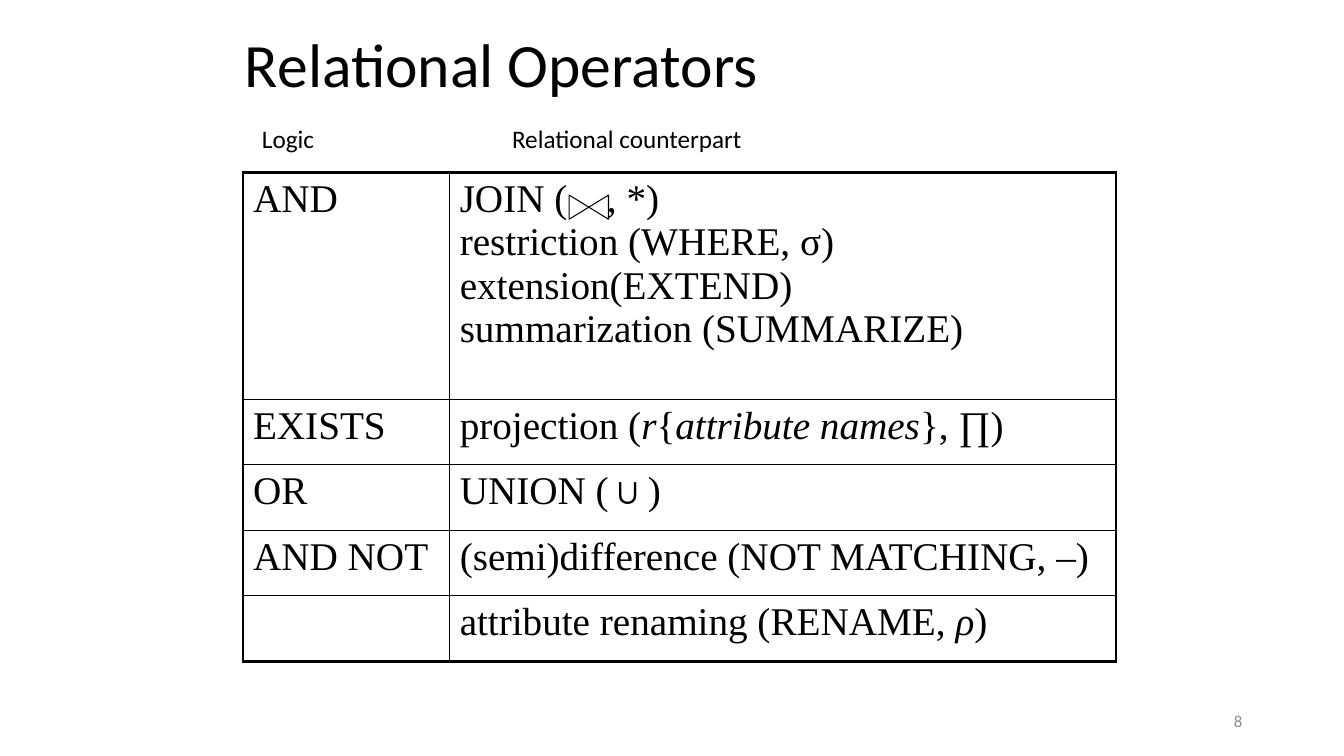
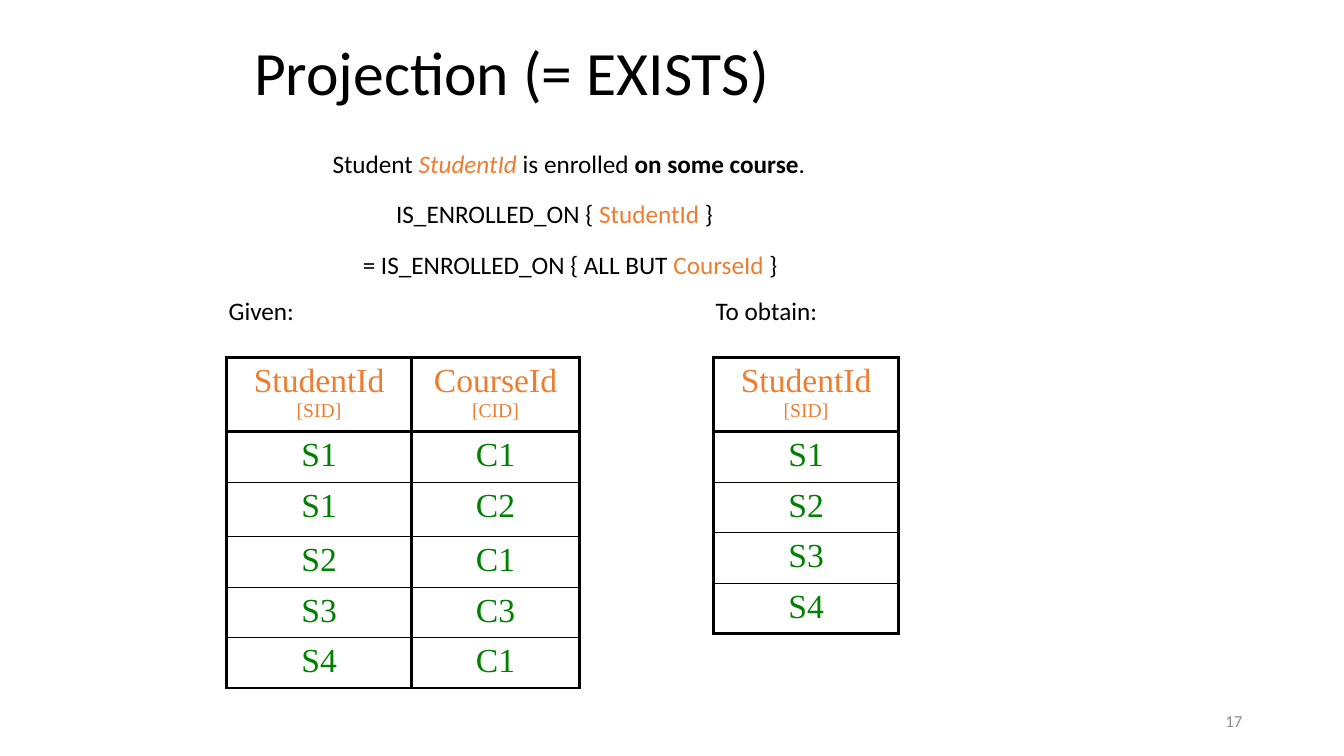
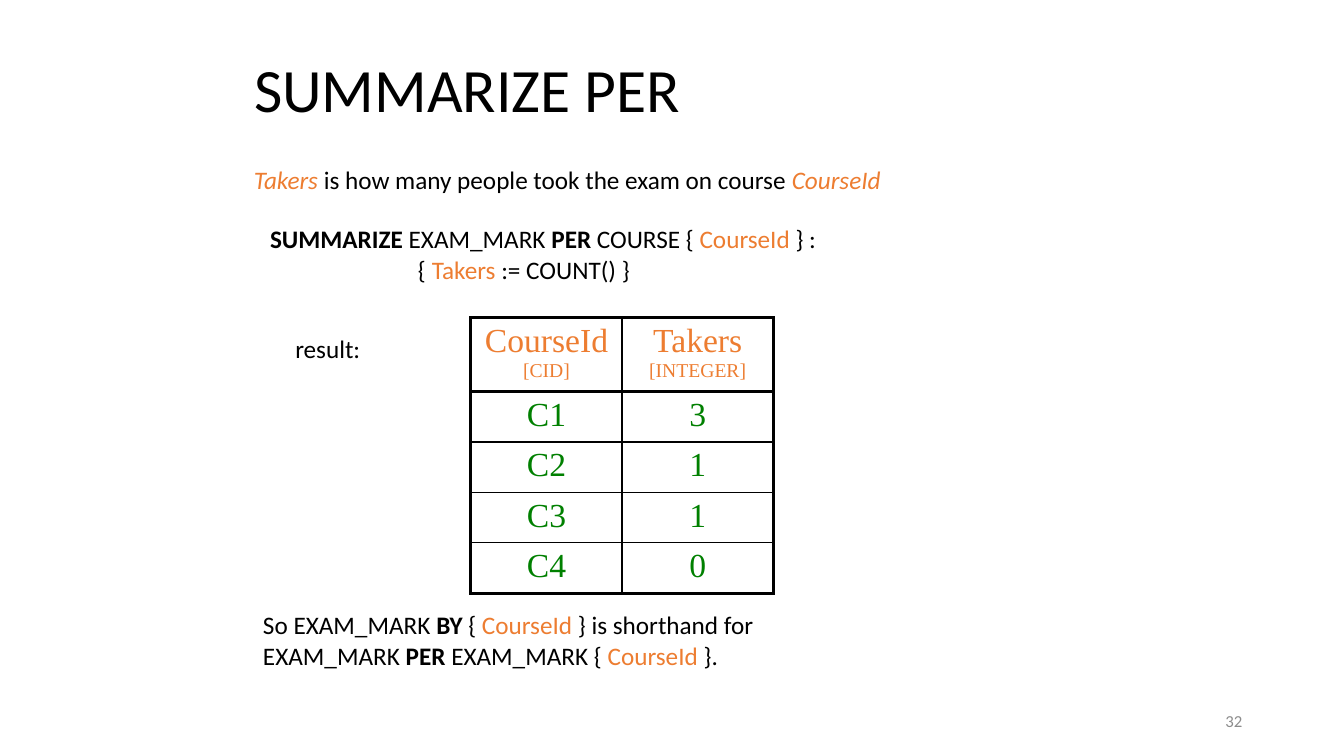
"""Build three slides on relational operators, projection and summarizing."""
from dataclasses import dataclass, field
from typing import Any, NamedTuple

from lxml import etree
from pptx import Presentation
from pptx.dml.color import RGBColor
from pptx.enum.shapes import MSO_SHAPE
from pptx.enum.text import MSO_ANCHOR, MSO_AUTO_SIZE, PP_ALIGN
from pptx.oxml.ns import qn
from pptx.util import Emu, Pt

EMU_PER_PX = 9144
COLLATE = MSO_SHAPE.FLOWCHART_COLLATE
MIDDLE = MSO_ANCHOR.MIDDLE
NO_FIT, GROW = MSO_AUTO_SIZE.NONE, MSO_AUTO_SIZE.SHAPE_TO_FIT_TEXT
LEFT, CENTER, RIGHT = PP_ALIGN.LEFT, PP_ALIGN.CENTER, PP_ALIGN.RIGHT
TITLE_ONLY = 5
THICK, THIN = Pt(2.25), Pt(1)
BREAK = "\n"

COLORS = {"text": "000000", "attribute": "ED7D31", "value": "008000", "page": "8C8C8C"}
TITLE = {"name": "Calibri", "size": Pt(44)}
BODY = {"name": "Calibri", "size": Pt(18)}
PAGE = {"name": "Calibri", "size": Pt(12)}
OPERATOR = {"name": "Times New Roman", "size": Pt(28)}
RELATION = {"name": "Times New Roman", "size": Pt(24)}
BOLD = {"bold": True}
ITALIC = {"italic": True}
TYPE_NAME = {"size": Pt(14)}


class Frame(NamedTuple):
    """Place and size in px, a hundred to the inch."""

    left: int
    top: int
    width: int
    height: int

    def emu(self) -> list[Emu]:
        """Return the four lengths in EMU."""
        return [px(length) for length in self]


@dataclass
class Span:
    """A stretch of text in one format."""

    text: str
    color: str = "text"
    style: dict[str, Any] = field(default_factory=dict)


@dataclass
class Label:
    """A text box with its spans."""

    frame: Frame
    spans: list[Span]
    wrap: bool = False


@dataclass
class Grid:
    """A table with its measures, cells and format."""

    left: int
    top: int
    columns: list[int]
    rows: list[int]
    cells: list[list[list[Span]]]
    style: dict[str, Any]
    align: PP_ALIGN = LEFT
    ruled: bool = False


def px(length: int) -> Emu:
    """Turn px into EMU."""
    return Emu(length * EMU_PER_PX)


def apply_format(target: Any, values: dict[str, Any]) -> None:
    """Set each named attribute on the target."""
    for name, value in values.items():
        setattr(target, name, value)


def attribute(text: str, **style: Any) -> Span:
    """Return a span in the colour of attribute names."""
    return Span(text, "attribute", style)


def write_spans(para: Any, spans: list[Span], style: dict[str, Any]) -> None:
    """Fill a paragraph with spans over a base style."""
    for span in spans:
        if span.text == BREAK:
            para.add_line_break()
            continue
        run = para.add_run()
        run.text = span.text
        apply_format(run.font, style | span.style)
        run.font.color.rgb = RGBColor.from_string(COLORS[span.color])


def add_label(page: Any, label: Label) -> None:
    """Add a body text box."""
    text = page.shapes.add_textbox(*label.frame.emu()).text_frame
    apply_format(text, {"word_wrap": label.wrap, "auto_size": GROW})
    write_spans(text.paragraphs[0], label.spans, BODY)


def add_page(deck: Any, title: str, frame: Frame, number: int) -> Any:
    """Add a slide with its title and page number."""
    page = deck.slides.add_slide(deck.slide_layouts[TITLE_ONLY])
    heading = page.shapes.title
    apply_format(heading, dict(zip(("left", "top", "width", "height"), frame.emu())))
    number_box = page.shapes.add_textbox(*Frame(942, 695, 300, 40).emu())
    for box in (heading, number_box):
        apply_format(box.text_frame, {
            "word_wrap": True, "auto_size": NO_FIT, "vertical_anchor": MIDDLE})
    para = heading.text_frame.paragraphs[0]
    apply_format(para, {"alignment": LEFT, "line_spacing": 0.9})
    write_spans(para, [Span(title)], TITLE)
    para = number_box.text_frame.paragraphs[0]
    para.alignment = RIGHT
    write_spans(para, [Span(str(number), "page")], PAGE)
    return page


def set_borders(cell: Any, thick_sides: dict[str, bool]) -> None:
    """Draw the four borders of a cell, thick or thin."""
    properties = cell._tc.get_or_add_tcPr()
    for index, (side, thick) in enumerate(thick_sides.items()):
        line = etree.Element(qn(f"a:ln{side}"), w=str(THICK if thick else THIN))
        fill = etree.SubElement(line, qn("a:solidFill"))
        etree.SubElement(fill, qn("a:srgbClr"), val=COLORS["text"])
        properties.insert(index, line)


def add_grid(page: Any, grid: Grid) -> None:
    """Add a table with thick outer borders; a ruled one has a thick header too."""
    frame = Frame(grid.left, grid.top, sum(grid.columns), sum(grid.rows))
    last_row, last_column = len(grid.rows) - 1, len(grid.columns) - 1
    table = page.shapes.add_table(last_row + 1, last_column + 1, *frame.emu()).table
    apply_format(table, {"first_row": False, "horz_banding": False})
    for column, width in zip(table.columns, grid.columns):
        column.width = px(width)
    for row, height in zip(table.rows, grid.rows):
        row.height = px(height)
    for row_index, row_cells in enumerate(grid.cells):
        for column_index, spans in enumerate(row_cells):
            cell = table.cell(row_index, column_index)
            cell.fill.background()
            set_borders(cell, {
                "L": grid.ruled or column_index == 0,
                "R": grid.ruled or column_index == last_column,
                "T": row_index <= int(grid.ruled),
                "B": row_index == last_row or grid.ruled and row_index == 0,
            })
            para = cell.text_frame.paragraphs[0]
            para.alignment = grid.align
            write_spans(para, spans, grid.style)


def relation(left: int, top: int, columns: list[int], rows: list[int],
             header: list[tuple[str, str]], tuples: list[str]) -> Grid:
    """Return a ruled table of attributes with types, and of values."""
    heading = [[attribute(name), Span(BREAK), attribute(f"[{kind}]", **TYPE_NAME)]
               for name, kind in header]
    body = [[[Span(value, "value")] for value in line.split()] for line in tuples]
    return Grid(left, top, columns, rows, [heading, *body], RELATION, CENTER, True)


def add_tab_stop(para: Any, position: int) -> None:
    """Give a paragraph one left tab stop."""
    stops = etree.SubElement(para._p.get_or_add_pPr(), qn("a:tabLst"))
    etree.SubElement(stops, qn("a:tab"), pos=str(px(position)), algn="l")


def build_operators(deck: Any) -> None:
    """Build the table of relational operators."""
    page = add_page(deck, "Relational Operators", Frame(233, 17, 850, 100), 8)
    join = [Span("JOIN (\t, *)"), Span(BREAK),
            Span("restriction (WHERE, σ)"), Span(BREAK),
            Span("extension(EXTEND)"), Span(BREAK),
            Span("summarization (SUMMARIZE)")]
    projection = [Span("projection ("), Span("r", style=ITALIC), Span("{"),
                  Span("attribute names", style=ITALIC), Span("}, ∏)")]
    difference = [Span("(semi)difference (NOT MATCHING, "),
                  Span("–", style=ITALIC), Span(")")]
    renaming = [Span("attribute renaming (RENAME, "),
                Span("ρ", style=ITALIC), Span(")")]
    add_grid(page, Grid(241, 171, [205, 661], [225] + [65] * 4, [
        [[Span("AND")], join],
        [[Span("EXISTS")], projection],
        [[Span("OR")], [Span("UNION (∪)")]],
        [[Span("AND NOT")], difference],
        [[], renaming],
    ], OPERATOR))
    table = page.shapes[-1].table
    add_tab_stop(table.cell(0, 1).text_frame.paragraphs[0], 146)
    add_label(page, Label(Frame(250, 117, 73, 40), [Span("Logic")]))
    add_label(page, Label(Frame(498, 117, 251, 40), [Span("Relational counterpart")]))
    bowtie = page.shapes.add_shape(COLLATE, *Frame(572, 186, 24, 39).emu())
    bowtie.rotation = 270
    bowtie.shadow.inherit = False
    bowtie.fill.background()
    bowtie.line.color.rgb = RGBColor.from_string(COLORS["text"])
    bowtie.line.width = Pt(0.75)


def build_projection(deck: Any) -> None:
    """Build the projection example."""
    page = add_page(deck, "Projection (= EXISTS)", Frame(242, 33, 850, 83), 17)
    labels = [
        Label(Frame(320, 142, 493, 40), [
            Span("Student "), attribute("StudentId", **ITALIC), Span(" is enrolled "),
            Span("on some course", style=BOLD), Span(".")]),
        Label(Frame(383, 192, 338, 40), [
            Span("IS_ENROLLED_ON { "), attribute("StudentId"), Span(" }")]),
        Label(Frame(350, 242, 436, 40), [
            Span("= IS_ENROLLED_ON { ALL BUT "), attribute("CourseId"), Span(" }")]),
        Label(Frame(217, 288, 86, 40), [Span("Given:")]),
        Label(Frame(700, 288, 122, 40), [Span("To obtain:")]),
    ]
    for label in labels:
        add_label(page, label)
    student = ("StudentId", "SID")
    add_grid(page, relation(
        225, 355, [183, 167], [73, 50, 54, 50, 50, 50],
        [student, ("CourseId", "CID")],
        ["S1 C1", "S1 C2", "S2 C1", "S3 C3", "S4 C1"]))
    add_grid(page, relation(
        708, 355, [183], [73] + [50] * 4, [student], ["S1", "S2", "S3", "S4"]))


def build_summarize(deck: Any) -> None:
    """Build the summarize example."""
    page = add_page(deck, "SUMMARIZE PER", Frame(242, 42, 850, 100), 32)
    course = attribute("CourseId")
    labels = [
        Label(Frame(242, 158, 883, 40), [
            attribute("Takers", **ITALIC),
            Span(" is how many people took the exam on course "),
            attribute("CourseId", **ITALIC)], wrap=True),
        Label(Frame(258, 217, 567, 71), [
            Span("SUMMARIZE", style=BOLD), Span(" EXAM_MARK "),
            Span("PER", style=BOLD), Span(" COURSE { "), course, Span(" } :"),
            Span(BREAK), Span("                          { "),
            attribute("Takers"), Span(" := COUNT() }")]),
        Label(Frame(251, 600, 512, 71), [
            Span("So EXAM_MARK "), Span("BY", style=BOLD), Span(" { "), course,
            Span(" } is shorthand for"), Span(BREAK), Span("EXAM_MARK "),
            Span("PER", style=BOLD), Span(" EXAM_MARK { "), course, Span(" }.")]),
        Label(Frame(283, 326, 85, 40), [Span("result:")]),
    ]
    for label in labels:
        add_label(page, label)
    add_grid(page, relation(
        467, 315, [150, 150], [73] + [50] * 4,
        [("CourseId", "CID"), ("Takers", "INTEGER")],
        ["C1 3", "C2 1", "C3 1", "C4 0"]))


def main() -> None:
    """Build and save the deck."""
    deck = Presentation()
    apply_format(deck, {"slide_width": px(1333), "slide_height": px(750)})
    for build in (build_operators, build_projection, build_summarize):
        build(deck)
    deck.save("out.pptx")


if __name__ == "__main__":
    main()
